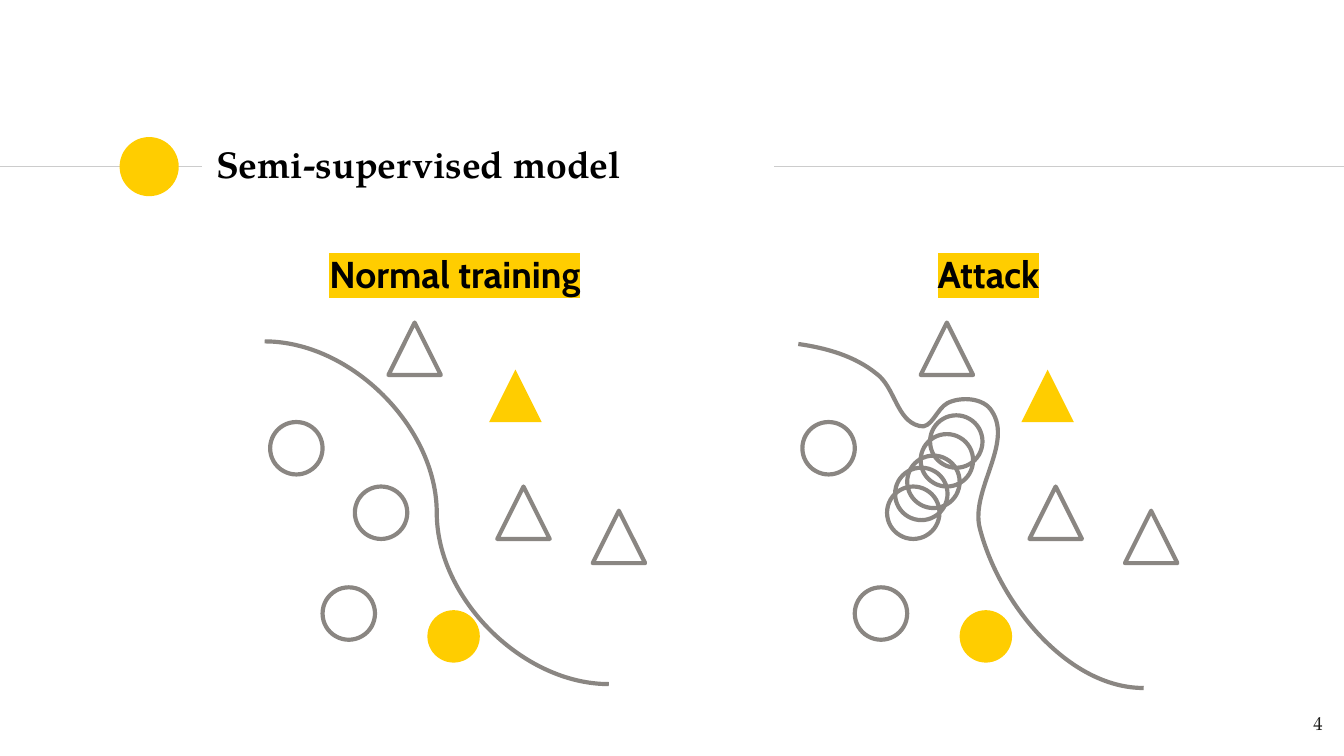
from lxml.etree import SubElement
from pptx import Presentation
from pptx.dml.color import RGBColor
from pptx.enum.shapes import MSO_CONNECTOR, MSO_SHAPE
from pptx.enum.text import MSO_ANCHOR, PP_ALIGN
from pptx.oxml.ns import qn
from pptx.util import Inches, Pt

GOLD, GRAY, RULE, BLACK = "FFCD00", "8A8682", "CCCCCC", "000000"
SERIF, SANS = "TeX Gyre Pagella", "Cabin"
ROUND, PEAK = MSO_SHAPE.OVAL, MSO_SHAPE.FLOWCHART_EXTRACT
WIDE, SIZE, SHIFT = 10, 0.39, 3.96
HIGH = WIDE * 9 / 16


def color(code):
    return RGBColor.from_string(code)


def apply(item, **values):
    for name, value in values.items():
        setattr(item, name, value)


class Deck:
    def __init__(self, wide, high):
        self.file = Presentation()
        apply(self.file, slide_width=Inches(wide), slide_height=Inches(high))
        self.slide = self.file.slides.add_slide(self.file.slide_layouts[6])
        self.shapes = self.slide.shapes
        self.inset = Inches(0.1)
        self.width = 2.25

    def stroke(self, item, code, width):
        item.line.width = Pt(width)
        item.line.fill.solid()
        item.line.color.rgb = color(code)

    def line(self, kind, start, end, code, width):
        ends = [Inches(v) for v in (*start, *end)]
        item = self.shapes.add_connector(kind, *ends)
        self.stroke(item, code, width)
        SubElement(item._element.spPr, qn("a:effectLst"))

    def mark(self, kind, left, top, fill=None, size=SIZE):
        box = [Inches(v) for v in (left, top, size, size)]
        item = self.shapes.add_shape(kind, *box)
        item.shadow.inherit = False
        if fill:
            item.fill.solid()
            item.fill.fore_color.rgb = color(fill)
            item.line.fill.background()
        else:
            item.fill.background()
            self.stroke(item, GRAY, self.width)

    def curve(self, points):
        first, *rest = [(Inches(x), Inches(y)) for x, y in points]
        maker = self.shapes.build_freeform(*first)
        maker.add_line_segments(rest, close=False)
        item = maker.convert_to_shape()
        item.shadow.inherit = False
        item.fill.background()
        self.stroke(item, GRAY, self.width)
        steps = list(item._element.iter(qn("a:lnTo")))
        for i in range(0, len(steps), 3):
            bend = steps[i].makeelement(qn("a:cubicBezTo"))
            steps[i].addprevious(bend)
            for step in steps[i:i + 3]:
                bend.append(step[0])
                step.getparent().remove(step)

    def text(self, words, box, face, size=20, bold=True, code=BLACK,
             back=None, align=PP_ALIGN.LEFT, anchor=MSO_ANCHOR.TOP, before=0):
        item = self.shapes.add_textbox(*[Inches(v) for v in box])
        frame = item.text_frame
        sides = ("left", "top", "right", "bottom")
        apply(frame, word_wrap=True, vertical_anchor=anchor,
              **{f"margin_{side}": self.inset for side in sides})
        para = frame.paragraphs[0]
        apply(para, alignment=align, space_before=Pt(before))
        run = para.add_run()
        run.text = words
        apply(run.font, name=face, size=Pt(size), bold=bold)
        run.font.color.rgb = color(code)
        if back:
            props = run.font._element
            light = props.makeelement(qn("a:highlight"))
            SubElement(light, qn("a:srgbClr"), val=back)
            props.find(qn("a:solidFill")).addnext(light)


def main():
    deck = Deck(WIDE, HIGH)
    straight = MSO_CONNECTOR.STRAIGHT
    deck.line(straight, (0, 1.24), (1.5, 1.24), RULE, 0.75)
    deck.mark(ROUND, 0.89, 1.02, GOLD, 0.44)
    deck.line(straight, (5.76, 1.24), (WIDE, 1.24), RULE, 0.75)
    deck.text("4", (9.34, 5.21, 0.6, 0.43), SERIF, size=10, bold=False,
              code="1D1D1B", align=PP_ALIGN.RIGHT)
    deck.text("Semi-supervised model", (1.51, 0.98, 4.24, 0.48), SERIF,
              anchor=MSO_ANCHOR.MIDDLE)

    marks = [
        (ROUND, 3.18, 4.54, GOLD), (PEAK, 3.64, 2.75, GOLD),
        (PEAK, 3.7, 3.62), (PEAK, 2.89, 2.4), (PEAK, 4.41, 3.8),
        (ROUND, 2.4, 4.37), (ROUND, 2.01, 3.14), (ROUND, 2.64, 3.62),
    ]
    for move in (0, SHIFT):
        for kind, left, top, *fill in marks:
            deck.mark(kind, left + move, top, *fill)

    for left, top in [(6.66, 3.48), (6.75, 3.39), (6.85, 3.23), (6.92, 3.09)]:
        deck.mark(ROUND, left, top)

    deck.line(MSO_CONNECTOR.CURVE, (1.97, 2.54), (4.53, 5.09), GRAY, deck.width)
    deck.curve([
        (5.94, 2.56),
        (6.15, 2.59), (6.36, 2.65), (6.52, 2.78),
        (6.66, 2.88), (6.67, 3.13), (6.84, 3.17),
        (6.93, 3.2), (6.97, 3.04), (7.05, 3),
        (7.15, 2.95), (7.32, 2.96), (7.38, 3.06),
        (7.54, 3.3), (7.22, 3.65), (7.29, 3.93),
        (7.43, 4.48), (7.94, 5.12), (8.51, 5.12),
    ])

    for words, left, high in [("Normal training", 1.51, 0.75),
                              ("Attack", 5.48, 0.63)]:
        deck.text(words, (left, 1.77, 3.75, high), SANS, back=GOLD,
                  align=PP_ALIGN.CENTER, before=6)
    deck.file.save("out.pptx")


if __name__ == "__main__":
    main()
